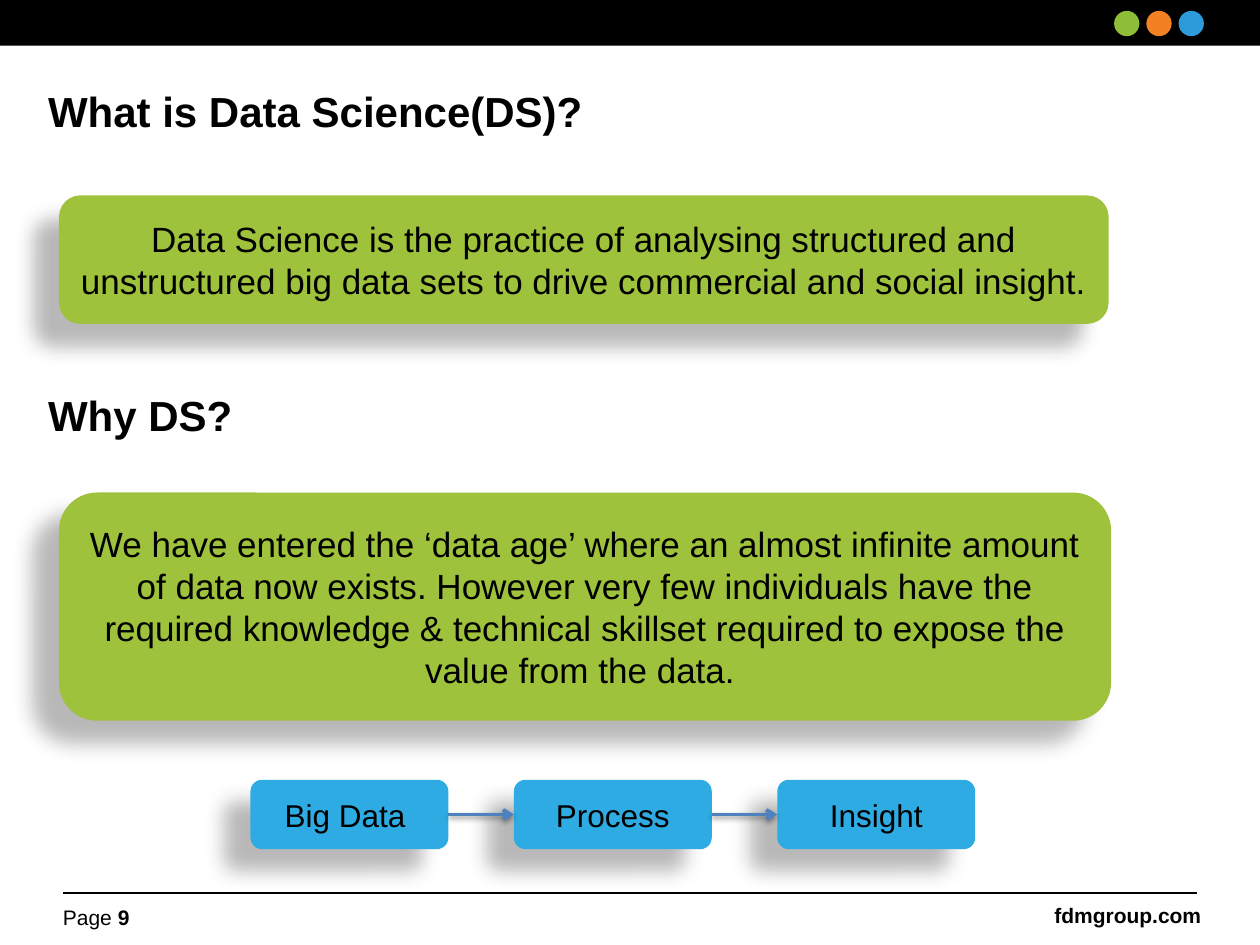
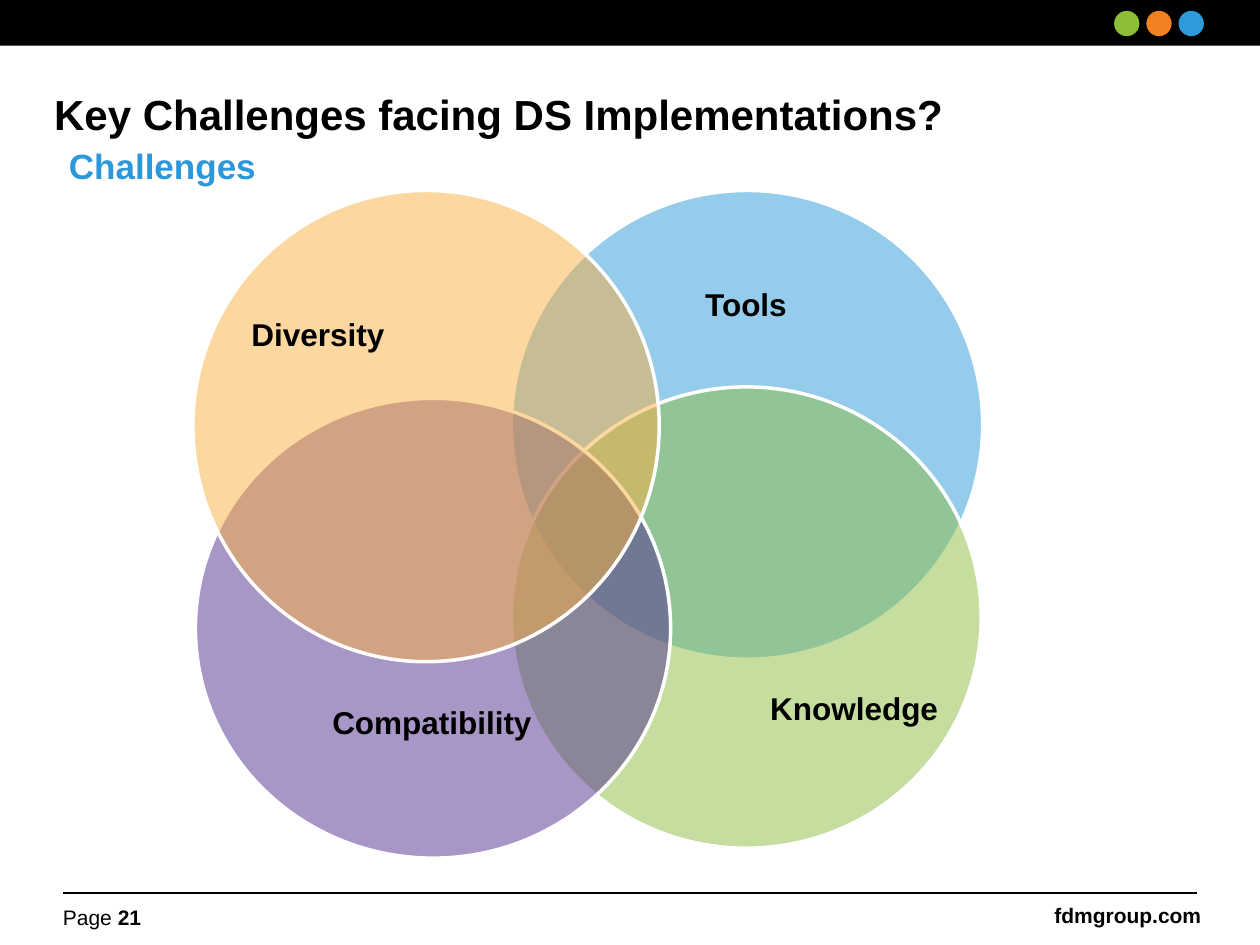
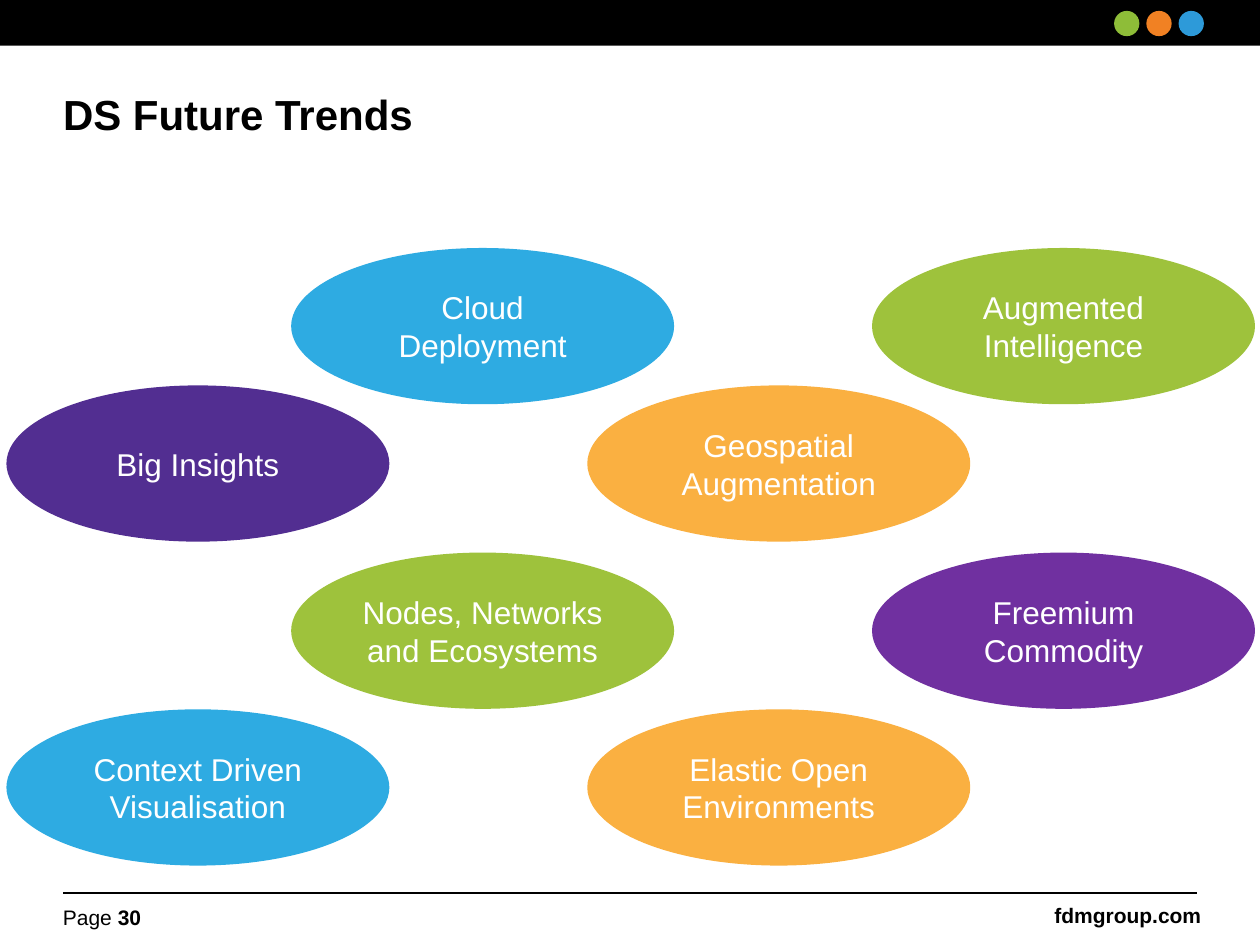
from lxml import etree
from pptx import Presentation
from pptx import util as u
from pptx.dml.color import RGBColor
from pptx.enum import shapes, text
from pptx.oxml.ns import qn

COLORS = {
    "black": "000000",
    "white": "FFFFFF",
    "dot green": "8EBD38",
    "dot orange": "F18123",
    "dot blue": "2D9AD9",
    "venn green": "8EBD42",
    "subtitle": "2D98D9",
    "arrow": "4F81BD",
    "blue": "2EABE2",
    "green": "9EC23C",
    "orange": "FAB041",
    "indigo": "522E91",
    "purple": "7030A0",
}
FONT = "Arial"
BOX_SHADOW = {"blur": 11.8, "distance": 19.7, "angle": 141, "opacity": 28}
ARROW_SHADOW = {"blur": 3.1, "distance": 1.6, "angle": 90, "opacity": 38}
PLAIN_FRAME = {
    "word_wrap": True,
    "auto_size": text.MSO_AUTO_SIZE.NONE,
    "vertical_anchor": text.MSO_ANCHOR.MIDDLE,
}
LEFT, CENTER, RIGHT = text.PP_ALIGN.LEFT, text.PP_ALIGN.CENTER, text.PP_ALIGN.RIGHT


def rgb(color):
    return RGBColor.from_string(COLORS[color])


def cm(values):
    return [u.Cm(value) for value in values]


def set_values(target, values):
    for name, value in values.items():
        setattr(target, name, value)


def set_insets(frame, left, top, right, bottom):
    for side, value in zip(("left", "top", "right", "bottom"), (left, top, right, bottom)):
        setattr(frame, f"margin_{side}", u.Cm(value))


def add_run(paragraph, words, size, color="black", bold=False):
    run = paragraph.add_run()
    run.text = words
    set_values(run.font, {"name": FONT, "size": u.Pt(size), "bold": bold})
    run.font.color.rgb = rgb(color)


def add_text(slide, box, words, size, color="black", bold=True, align=LEFT, **frame_values):
    frame = slide.shapes.add_textbox(*cm(box)).text_frame
    set_values(frame, {**PLAIN_FRAME, **frame_values})
    paragraph = frame.paragraphs[0]
    paragraph.alignment = align
    add_run(paragraph, words, size, color, bold)
    return frame


def add_shadow(shape, blur, distance, angle, opacity):
    effects = shape.element.spPr.find(qn("a:effectLst"))
    shadow = etree.SubElement(
        effects,
        qn("a:outerShdw"),
        blurRad=str(u.Pt(blur)),
        dist=str(u.Pt(distance)),
        dir=str(angle * 60000),
        algn="ctr",
        rotWithShape="0",
    )
    shade = etree.SubElement(shadow, qn("a:srgbClr"), val=COLORS["black"])
    etree.SubElement(shade, qn("a:alpha"), val=str(opacity * 1000))


def add_filled(slide, kind, box, color):
    shape = slide.shapes.add_shape(kind, *cm(box))
    shape.shadow.inherit = False
    shape.fill.solid()
    shape.fill.fore_color.rgb = rgb(color)
    shape.line.fill.background()
    return shape


def add_labelled(slide, kind, box, color, words, size, text_color):
    shape = add_filled(slide, kind, box, color)
    set_values(shape.text_frame, PLAIN_FRAME)
    paragraph = shape.text_frame.paragraphs[0]
    paragraph.alignment = CENTER
    add_run(paragraph, words, size, text_color)
    return shape


def add_shadow_box(slide, box, color, words, size):
    kind = shapes.MSO_SHAPE.ROUNDED_RECTANGLE
    shape = add_labelled(slide, kind, box, color, words, size, "black")
    add_shadow(shape, **BOX_SHADOW)
    return shape


def add_line(slide, start, end, color, width):
    line = slide.shapes.add_connector(shapes.MSO_CONNECTOR.STRAIGHT, *cm(start + end))
    line.line.color.rgb = rgb(color)
    line.line.width = u.Pt(width)
    etree.SubElement(line.element.spPr, qn("a:effectLst"))
    return line


def add_arrow(slide, source, target):
    arrow = add_line(slide, (0, 0), (1, 1), "arrow", 2)
    arrow.begin_connect(source, 3)
    arrow.end_connect(target, 1)
    etree.SubElement(arrow.line._get_or_add_ln(), qn("a:tailEnd"), type="arrow")
    add_shadow(arrow, **ARROW_SHADOW)


def add_venn_circle(slide, box, color, words, center):
    circle = add_filled(slide, shapes.MSO_SHAPE.OVAL, box, color)
    fill_color = circle.element.spPr.find(qn("a:solidFill"))[0]
    etree.SubElement(fill_color, qn("a:alpha"), val="50000")
    circle.line.color.rgb = rgb("white")
    circle.line.width = u.Pt(2)
    width, height = 5, 1
    label_box = (center[0] - width / 2, center[1] - height / 2, width, height)
    set_insets(add_text(slide, label_box, words, 18, align=CENTER), 0, 0, 0, 0)


def add_title(slide, box, lines, gap=0):
    title = slide.shapes.title
    set_values(title, dict(zip(("left", "top", "width", "height"), cm(box))))
    frame = title.text_frame
    set_values(frame, {**PLAIN_FRAME, "vertical_anchor": text.MSO_ANCHOR.TOP})
    set_insets(frame, 0, 0, 0, 0.13)
    for index, line in enumerate(lines):
        paragraph = frame.add_paragraph() if index else frame.paragraphs[0]
        paragraph.alignment = LEFT
        if index:
            paragraph.space_before = u.Pt(gap)
        add_run(paragraph, line, 24, bold=True)


def add_page_number(slide, number):
    frame = add_text(slide, (1.27, 18.24, 5.92, 0.51), "Page ", 12, bold=False)
    set_insets(frame, 0, 0, 0, 0)
    add_run(frame.paragraphs[0], str(number), 12, bold=True)


def move_band_and_footer_to_layout(slide):
    layout = slide.slide_layout
    for placeholder in list(layout.placeholders)[1:]:
        layout.shapes.element.remove(placeholder.element)
    add_filled(slide, shapes.MSO_SHAPE.RECTANGLE, (0, 0, 25.4, 0.92), "black")
    for index, color in enumerate(("dot green", "dot orange", "dot blue")):
        dot_box = (22.46 + index * 0.65, 0.22, 0.51, 0.51)
        add_filled(slide, shapes.MSO_SHAPE.OVAL, dot_box, color)
    add_line(slide, (1.27, 18), (24.13, 18), "black", 1)
    address_box = (20.96, 18.06, 3.51, 0.76)
    add_text(slide, address_box, "fdmgroup.com", 12, align=RIGHT, word_wrap=False)
    for shape in list(slide.shapes):
        if not shape.is_placeholder:
            layout.shapes.element.append(shape.element)


def build_definition(slide):
    add_title(slide, (0.97, 1.73, 22.86, 8.33), ("What is Data Science(DS)?", "Why DS?"), gap=145)
    add_page_number(slide, 9)
    steps = [
        add_shadow_box(slide, (5.05 + index * 5.31, 15.72, 3.99, 1.4), "blue", words, 18)
        for index, words in enumerate(("Big Data ", "Process", "Insight"))
    ]
    for source, target in zip(steps, steps[1:]):
        add_arrow(slide, source, target)
    add_shadow_box(
        slide, (1.19, 3.94, 21.16, 2.59), "green",
        "Data Science is the practice of analysing structured and unstructured "
        "big data sets to drive commercial and social insight. ", 20,
    )
    add_shadow_box(
        slide, (1.19, 9.93, 21.21, 4.6), "green",
        "We have entered the ‘data age’ where an almost infinite amount of data now exists. "
        "However very few individuals have the required knowledge & technical skillset "
        "required to expose the value from the data. ", 20,
    )


def build_challenges(slide):
    add_title(slide, (1.09, 1.78, 22.86, 1.14), ("Key Challenges facing DS Implementations?",))
    add_page_number(slide, 21)
    circles = (
        ((10.31, 3.84, 9.5, 9.45), "dot blue", "Tools", (15.04, 6.13)),
        ((10.31, 7.8, 9.47, 9.3), "venn green", "Knowledge", (17.22, 14.27)),
        ((3.94, 8.03, 9.58, 9.27), "indigo", "Compatibility", (8.71, 14.55)),
        ((3.89, 3.84, 9.4, 9.5), "orange", "Diversity", (6.41, 6.73)),
    )
    for circle in circles:
        add_venn_circle(slide, *circle)
    subtitle = add_text(
        slide, (1.19, 2.72, 14.35, 1.27), "Challenges", 20, "subtitle",
        vertical_anchor=text.MSO_ANCHOR.TOP,
    )
    set_insets(subtitle, 0.2, 0.2, 0.2, 0.2)


def build_trends(slide):
    add_title(slide, (1.27, 1.78, 22.86, 1.14), ("DS Future Trends",))
    add_page_number(slide, 30)
    columns = (0.13, 5.87, 11.84, 17.58)
    rows = (5, 7.77, 11.14, 14.3)
    trends = (
        (0, 3, "blue", "Context Driven Visualisation"),
        (3, 0, "green", "Augmented Intelligence"),
        (1, 2, "green", "Nodes, Networks and Ecosystems"),
        (1, 0, "blue", "Cloud Deployment"),
        (3, 2, "purple", "Freemium Commodity"),
        (2, 1, "orange", "Geospatial Augmentation"),
        (2, 3, "orange", "Elastic Open Environments"),
        (0, 1, "indigo", "Big Insights"),
    )
    for column, row, color, words in trends:
        box = (columns[column], rows[row], 7.72, 3.15)
        add_labelled(slide, shapes.MSO_SHAPE.OVAL, box, color, words, 18, "white")


def main():
    presentation = Presentation()
    set_values(presentation, {"slide_width": u.Cm(25.4), "slide_height": u.Cm(19.05)})
    layout = presentation.slide_layouts.get_by_name("Title Only")
    builders = (build_definition, build_challenges, build_trends)
    slides = [presentation.slides.add_slide(layout) for _ in builders]
    move_band_and_footer_to_layout(slides[0])
    for build, slide in zip(builders, slides):
        build(slide)
    presentation.save("out.pptx")


if __name__ == "__main__":
    main()
